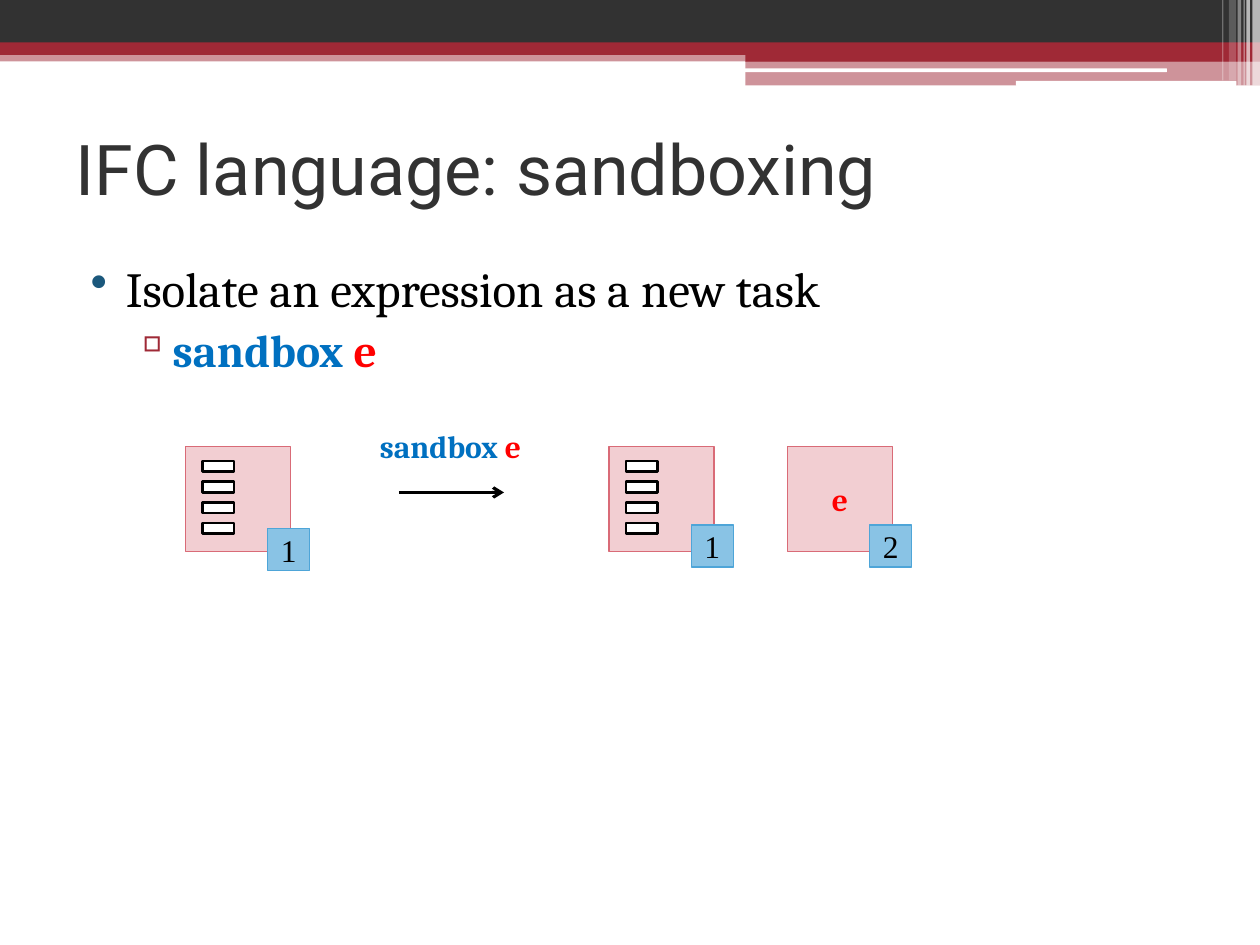
from lxml.etree import SubElement
from pptx import Presentation
from pptx.dml.color import RGBColor
from pptx.enum.shapes import MSO_CONNECTOR, MSO_SHAPE
from pptx.enum.text import MSO_ANCHOR, MSO_AUTO_SIZE, PP_ALIGN
from pptx.oxml.ns import qn
from pptx.util import Pt

WHITE = RGBColor(0xFF, 0xFF, 0xFF)
BLACK = RGBColor(0x00, 0x00, 0x00)
DARK = RGBColor(0x32, 0x32, 0x32)
CRIMSON = RGBColor(0x9F, 0x29, 0x36)
NAVY = RGBColor(0x1B, 0x58, 0x7C)
BLUE = RGBColor(0x00, 0x70, 0xC0)
RED = RGBColor(0xFF, 0x00, 0x00)
PINK = RGBColor(0xF2, 0xCE, 0xD2)
PINK_EDGE = RGBColor(0xD9, 0x6B, 0x77)
SKY = RGBColor(0x89, 0xC3, 0xE5)
SKY_EDGE = RGBColor(0x4E, 0xA5, 0xD8)

BANDS = [
    (0, 28.8, 720, 6.3, CRIMSON, 50),
    (0, 0, 720, 24.5, DARK, 100),
    (0, 24.2, 720, 7.2, CRIMSON, 100),
    (426, 28.1, 294, 7.2, CRIMSON, 100),
    (426, 34.9, 294, 14, CRIMSON, 50),
]
PILLS = [(425.5, 39.1, 241.3, 2.2), (580.5, 46.2, 126, 2.9)]
STRIPES = [
    (715.7, 4.3, 49, 65),
    (712.2, 2, 49, 65),
    (710.6, 0.7, 49, 60),
    (707.2, 2, 49, 40),
    (702.2, 4, 46, 20),
    (698.4, 0.7, 46, 30),
]

TITLE = dict(name="Roboto", size=Pt(40), color=DARK)
TEXT = dict(name="Cambria", size=Pt(28), color=BLACK)
DIGIT = dict(name="Times New Roman", size=Pt(18), color=BLACK)
CODE = dict(name="Cambria", size=Pt(18), color=BLUE, bold=True)
EXPR = dict(CODE, color=RED)


def add_run(p, text, fmt):
    """Append a run and apply its font values."""
    r = p.add_run()
    r.text = text
    for key, value in fmt.items():
        if key == "color":
            r.font.color.rgb = value
        else:
            setattr(r.font, key, value)


def add_box(s, x, y, w, h, fill, edge=None, weight=0.75, alpha=100, kind=MSO_SHAPE.RECTANGLE):
    """Draw a filled preset shape with an optional outline."""
    sp = s.shapes.add_shape(kind, Pt(x), Pt(y), Pt(w), Pt(h))
    sp.shadow.inherit = False
    sp.fill.solid()
    sp.fill.fore_color.rgb = fill
    if alpha < 100:
        color = sp.fill._xPr.find(qn("a:solidFill"))[0]
        SubElement(color, qn("a:alpha"), val=str(alpha * 1000))
    if edge is None:
        sp.line.fill.background()
    else:
        sp.line.color.rgb = edge
        sp.line.width = Pt(weight)
    return sp


def add_centred(sp, text, fmt):
    """Write one centred line in a shape."""
    tf = sp.text_frame
    tf.vertical_anchor = MSO_ANCHOR.MIDDLE
    tf.paragraphs[0].alignment = PP_ALIGN.CENTER
    add_run(tf.paragraphs[0], text, fmt)


def add_text(s, x, y, w, h):
    """Add a wrapping text box and return its text frame."""
    tf = s.shapes.add_textbox(Pt(x), Pt(y), Pt(w), Pt(h)).text_frame
    tf.word_wrap = True
    return tf


def set_bullet(p, char, color, margin, indent, level):
    """Give a paragraph a coloured bullet with a hanging indent."""
    p.level = level
    pPr = p._p.get_or_add_pPr()
    pPr.set("marL", str(Pt(margin)))
    pPr.set("indent", str(Pt(indent)))
    SubElement(SubElement(pPr, qn("a:buClr")), qn("a:srgbClr"), val=str(color))
    SubElement(pPr, qn("a:buChar"), char=char)


def add_banner(s):
    """Draw the decorative bands across the top."""
    for x, y, w, h, color, alpha in BANDS:
        add_box(s, x, y, w, h, color, alpha=alpha)
    for x, y, w, h in PILLS:
        add_box(s, x, y, w, h, WHITE, kind=MSO_SHAPE.ROUNDED_RECTANGLE)
    for x, w, h, alpha in STRIPES:
        add_box(s, x, 0, w, h, WHITE, alpha=alpha)


def add_title(s, text):
    """Place and format the title placeholder."""
    sp = s.shapes.title
    sp.left, sp.top, sp.width, sp.height = Pt(36), Pt(54), Pt(648), Pt(84)
    tf = sp.text_frame
    tf.auto_size = MSO_AUTO_SIZE.NONE
    tf.vertical_anchor = MSO_ANCHOR.MIDDLE
    tf.paragraphs[0].alignment = PP_ALIGN.LEFT
    add_run(tf.paragraphs[0], text, TITLE)


def add_sandbox_code(p, size):
    """Write the sandbox expression in its two colours."""
    add_run(p, "sandbox ", dict(CODE, size=size))
    add_run(p, "e", dict(EXPR, size=size))


def add_body(s):
    """Write the bulleted text."""
    tf = add_text(s, 36, 144, 672, 374)
    p = tf.paragraphs[0]
    set_bullet(p, "•", NAVY, 28.8, -20.16, 0)
    add_run(p, "Isolate an expression as a new task", TEXT)
    p = tf.add_paragraph()
    set_bullet(p, "▫", CRIMSON, 51.84, -19.44, 1)
    p.space_before = Pt(3)
    add_sandbox_code(p, Pt(26))


def add_task(s, x, number, badge_y, expr=None):
    """Draw a task square, its stack or expression, and its number."""
    sp = add_box(s, x, 255, 60, 60, PINK, PINK_EDGE)
    if expr:
        add_centred(sp, expr, EXPR)
    else:
        for i in range(4):
            add_box(s, x + 9.8, 263.5 + i * 11.8, 18, 6, WHITE, BLACK, 1.5)
    add_centred(add_box(s, x + 47, badge_y, 24, 24, SKY, SKY_EDGE), number, DIGIT)


def add_arrow(s, x1, x2, y):
    """Draw a horizontal arrow."""
    c = s.shapes.add_connector(MSO_CONNECTOR.STRAIGHT, Pt(x1), Pt(y), Pt(x2), Pt(y))
    c.line.color.rgb = BLACK
    c.line.width = Pt(1.75)
    SubElement(c.line._get_or_add_ln(), qn("a:tailEnd"), type="arrow")
    SubElement(c._element.spPr, qn("a:effectLst"))


def main():
    """Build the slide and save it."""
    prs = Presentation()
    prs.slide_width, prs.slide_height = Pt(720), Pt(540)
    s = prs.slides.add_slide(prs.slide_layouts[5])
    add_banner(s)
    add_title(s, "IFC language: sandboxing")
    add_body(s)
    add_task(s, 106, "1", 302)
    add_task(s, 348, "1", 300)
    add_task(s, 450, "2", 300, "e")
    add_arrow(s, 228, 288, 281.4)
    add_sandbox_code(add_text(s, 210, 240.5, 120, 29).paragraphs[0], Pt(18))
    prs.save("out.pptx")


if __name__ == "__main__":
    main()
